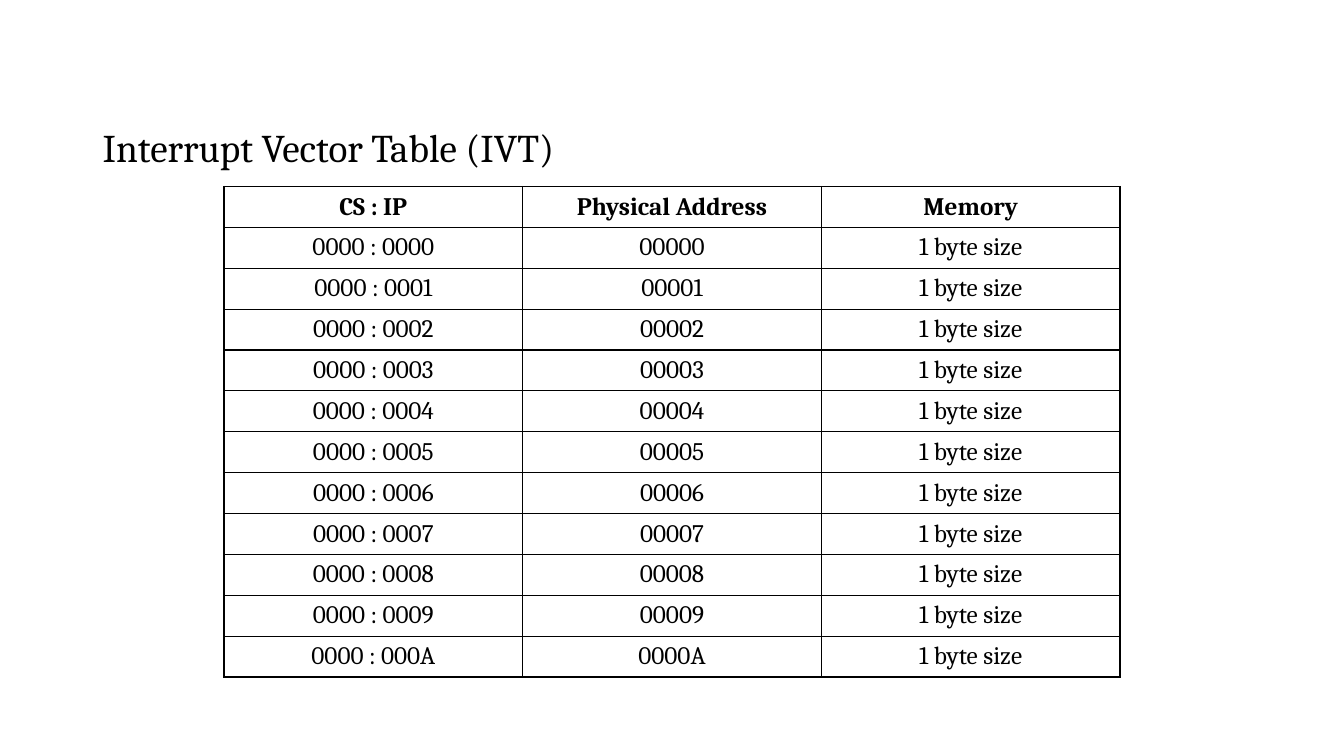
from lxml.etree import SubElement
from pptx import Presentation
from pptx.dml.color import RGBColor
from pptx.enum.text import MSO_ANCHOR, PP_ALIGN
from pptx.oxml.ns import qn
from pptx.util import Inches, Pt

TITLE = "Interrupt Vector Table (IVT)"
HEADER = ("CS : IP", "Physical Address", "Memory")
OFFSETS = "0123456789A"
ROWS = [HEADER] + [
    (f"0000 : 000{offset}", f"0000{offset}", "1 byte size") for offset in OFFSETS
]

COLORS = {"ink": "000000", "paper": "FFFFFF"}
FONT = "Cambria"
SLIDE_WIDTH, SLIDE_HEIGHT = 13.33, 7.5
BODY = (0.92, 0.94, 11.5, 5.82)
TABLE_TOP, TABLE_HEIGHT = 1.85, 4.87
TABLE_WIDTH = SLIDE_WIDTH * 2 / 3
TABLE_LEFT = (SLIDE_WIDTH - TABLE_WIDTH) / 2


def add_span(para, text, size, bold=False):
    span = para.add_run()
    span.text = text
    span.font.name = FONT
    span.font.size = Pt(size)
    span.font.bold = bold
    span.font.color.rgb = RGBColor.from_string(COLORS["ink"])


def add_borders(cell):
    properties = cell._tc.get_or_add_tcPr()
    for position, side in enumerate(("lnL", "lnR", "lnT", "lnB")):
        line = SubElement(properties, qn(f"a:{side}"), w=str(Pt(1)))
        fill = SubElement(line, qn("a:solidFill"))
        SubElement(fill, qn("a:srgbClr"), val=COLORS["ink"])
        properties.insert(position, line)


def add_title(page):
    box = page.shapes.add_textbox(*map(Inches, BODY))
    box.text_frame.word_wrap = True
    para = box.text_frame.paragraphs[0]
    para.alignment = PP_ALIGN.JUSTIFY
    para.line_spacing = 1.5
    para.space_before = Pt(10)
    add_span(para, TITLE, 28)


def add_vector_table(page):
    area = map(Inches, (TABLE_LEFT, TABLE_TOP, TABLE_WIDTH, TABLE_HEIGHT))
    table = page.shapes.add_table(len(ROWS), len(HEADER), *area).table
    table.horz_banding = False
    for row in table.rows:
        row.height = Inches(TABLE_HEIGHT / len(ROWS))
    for row_index, values in enumerate(ROWS):
        for column_index, value in enumerate(values):
            cell = table.cell(row_index, column_index)
            cell.fill.solid()
            cell.fill.fore_color.rgb = RGBColor.from_string(COLORS["paper"])
            cell.vertical_anchor = MSO_ANCHOR.MIDDLE
            add_borders(cell)
            para = cell.text_frame.paragraphs[0]
            para.alignment = PP_ALIGN.CENTER
            add_span(para, value, 18, bold=row_index == 0)


def main():
    deck = Presentation()
    deck.slide_width = Inches(SLIDE_WIDTH)
    deck.slide_height = Inches(SLIDE_HEIGHT)
    page = deck.slides.add_slide(deck.slide_layouts[6])
    add_title(page)
    add_vector_table(page)
    deck.save("out.pptx")


if __name__ == "__main__":
    main()
